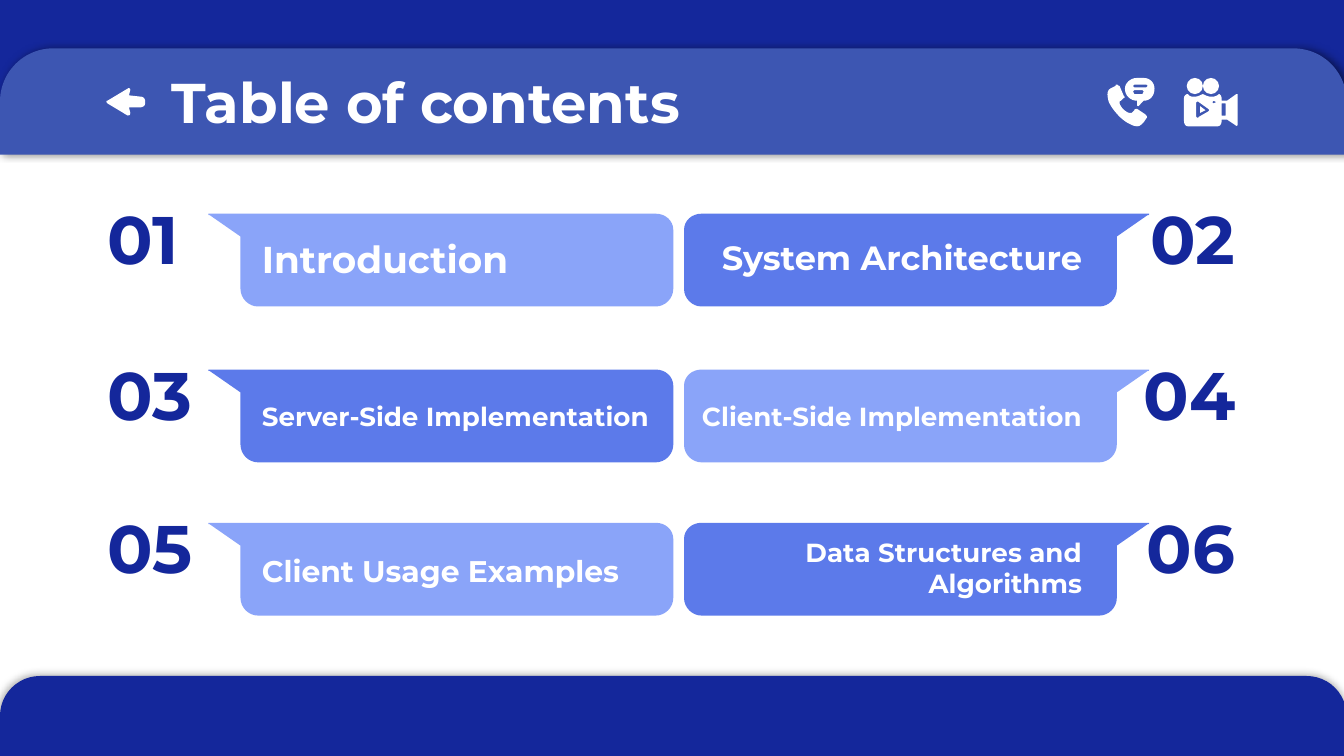
from lxml import etree
from pptx import Presentation
from pptx.dml.color import RGBColor
from pptx.enum.shapes import MSO_SHAPE
from pptx.enum.text import MSO_ANCHOR, PP_ALIGN
from pptx.oxml.ns import qn
from pptx.util import Emu, Pt

PX = 9144
SLIDE_W = 1000
SLIDE_H = SLIDE_W * 9 / 16
RECT, OVAL, ROUND_TOP = MSO_SHAPE.RECTANGLE, MSO_SHAPE.OVAL, MSO_SHAPE.ROUND_2_SAME_RECTANGLE
LEFT, RIGHT = PP_ALIGN.LEFT, PP_ALIGN.RIGHT
TOP, BOTTOM = MSO_ANCHOR.TOP, MSO_ANCHOR.BOTTOM
FONT = "Montserrat"
NAVY, BLUE, MID, LIGHT, WHITE = "14279B", "3D56B2", "5C7AEA", "8AA4F9", "FFFFFF"
CARD_W = 346

BUBBLE = [(345, 0), (345, 0, 346, 0, 346, 0), (346, 1, 346, 1, 345, 1), (322, 17), (322, 56),
          (322, 63, 316, 69, 309, 69), (13, 69), (6, 69, 0, 63, 0, 56), (0, 12),
          (0, 5, 6, 0, 13, 0)]
ARROW = [(0, 9), (-1, 9, -1, 10, 0, 11), (15, 20), (16, 20, 17, 20, 17, 18), (16, 14), (24, 14),
         (26, 14, 28, 13, 28, 11), (28, 9), (28, 7, 26, 6, 25, 6), (16, 5), (17, 1),
         (17, 0, 16, -1, 15, 0)]
HANDSET = [(8, 0), (7, 0, 7, 0, 7, 1), (3, 3), (0, 5, 1, 9, 2, 13), (5, 19, 11, 26, 17, 29),
           (19, 30, 21, 31, 23, 31), (25, 31, 26, 30, 28, 28), (30, 25), (31, 24, 30, 23, 29, 22),
           (23, 18), (23, 18, 21, 18, 21, 19), (19, 21), (18, 21, 17, 21, 17, 21),
           (14, 20, 11, 17, 10, 14), (10, 13, 10, 12, 11, 12), (13, 10), (14, 10, 14, 9, 13, 8),
           (10, 1), (9, 1, 9, 0, 8, 0)]
SPEECH = [(9, 0), (4, 0, 0, 4, 0, 8), (0, 13, 4, 17, 9, 17), (9, 20), (9, 20, 9, 21, 10, 21),
          (14, 17), (19, 17, 22, 13, 22, 8), (22, 4, 19, 0, 14, 0)]
SPEECH_LINES = [[(7, 5), (16, 5), (17, 6), (16, 7), (7, 7), (6, 6)],
                [(7, 9), (13, 9), (14, 10), (13, 12), (7, 12), (6, 10)]]
CAMERA = [(39, 0), (32, 5), (28, 5), (28, 3), (28, 2, 27, 0, 26, 0), (24, 2, 22, 2, 20, 2),
          (18, 2, 16, 1, 14, 0), (12, 1, 10, 2, 8, 2), (6, 2, 4, 2, 3, 0), (1, 0, 0, 2, 0, 3),
          (0, 20), (0, 22, 1, 24, 3, 24), (25, 24), (27, 24, 28, 22, 28, 20), (28, 19), (32, 19),
          (38, 23), (39, 24, 40, 24, 40, 22), (40, 1), (40, 0, 40, 0, 39, 0)]
CAMERA_HOLES = [[(22, 5), (24, 6), (22, 7), (21, 6)],
                [(28, 7), (31, 7), (31, 16), (28, 16)],
                [(11, 6), (18, 11), (19, 12, 19, 12, 18, 13), (11, 17), (11, 18, 9, 18, 9, 16),
                 (9, 7), (9, 6, 10, 5, 11, 6)]]
PLAY = [(12, 9), (12, 14), (16, 12)]

ROWS = [
    (159, (("01", "Introduction", 20, 7, LIGHT), ("02", "System Architecture", 18, 7, MID))),
    (275, (("03", "Server-Side Implementation", 14, 13, MID),
           ("04", "Client-Side Implementation", 14, 13, LIGHT))),
    (389, (("05", "Client Usage Examples", 16, 12, LIGHT),
           ("06", "Data Structures and Algorithms", 14, 0, MID))),
]


def px(n):
    """Convert px to EMU."""
    return Emu(round(n * PX))


def rgb(color):
    """Turn a hex string into a colour."""
    return RGBColor.from_string(color)


def paint(sp, color):
    """Give a shape a plain fill with no line or shadow."""
    sp.fill.solid()
    sp.fill.fore_color.rgb = rgb(color)
    sp.line.fill.background()
    sp.shadow.inherit = False
    return sp


def shape(s, kind, x, y, w, h, color):
    """Add a plain preset shape."""
    return paint(s.shapes.add_shape(kind, px(x), px(y), px(w), px(h)), color)


def trace(segments, steps=8):
    """Turn line ends and cubic curves into outline points."""
    pts = []
    for seg in segments:
        if len(seg) == 2:
            pts.append(seg)
            continue
        ctrl = [pts[-1], seg[:2], seg[2:4], seg[4:]]
        for i in range(1, steps + 1):
            t = i / steps
            weights = ((1 - t) ** 3, 3 * t * (1 - t) ** 2, 3 * t * t * (1 - t), t ** 3)
            pts.append(tuple(sum(k * c[axis] for k, c in zip(weights, ctrl)) for axis in (0, 1)))
    return pts


def outline(s, x, y, contours, color, flip_w=None):
    """Draw closed contours at x, y, mirrored inside flip_w when given."""
    fb = None
    for contour in contours:
        pts = [(px(x + (a if flip_w is None else flip_w - a)), px(y + b))
               for a, b in trace(contour)]
        if fb is None:
            fb = s.shapes.build_freeform(*pts[0])
        else:
            fb.move_to(*pts[0])
        fb.add_line_segments(pts[1:], close=True)
    return paint(fb.convert_to_shape(), color)


def text(s, x, y, w, h, content, size, color, align=LEFT, anchor=TOP):
    """Add a one-run bold text box."""
    tf = s.shapes.add_textbox(px(x), px(y), px(w), px(h)).text_frame
    tf.word_wrap = True
    tf.vertical_anchor = anchor
    tf.margin_left = tf.margin_right = tf.margin_top = tf.margin_bottom = px(10)
    p = tf.paragraphs[0]
    p.alignment = align
    r = p.add_run()
    r.text = content
    r.font.name, r.font.size, r.font.bold = FONT, Pt(size), True
    r.font.color.rgb = rgb(color)


def band(s, x, y, w, h, color, alpha, angle):
    """Add a band with round top corners and a soft shadow."""
    sp = shape(s, ROUND_TOP, x, y, w, h, color)
    sp.adjustments[0], sp.adjustments[1] = 0.5, 0
    effects = sp._element.spPr.find(qn("a:effectLst"))
    shadow = etree.SubElement(effects, qn("a:outerShdw"), blurRad=str(Pt(4.5)),
                              dist=str(Pt(1.5)), dir=str(angle * 60000),
                              algn="bl", rotWithShape="0")
    clr = etree.SubElement(shadow, qn("a:srgbClr"), val="000000")
    etree.SubElement(clr, qn("a:alpha"), val=str(alpha * 1000))


def phone_icon(s, x, y):
    """Draw a handset with a speech bubble."""
    outline(s, x, y + 5, [HANDSET], WHITE)
    outline(s, x + 14, y, [SPEECH, *SPEECH_LINES], WHITE)


def camera_icon(s, x, y):
    """Draw a film camera with two reels."""
    outline(s, x, y + 12, [CAMERA, *CAMERA_HOLES], WHITE)
    outline(s, x, y + 12, [PLAY], WHITE)
    for dx in (2, 14):
        shape(s, OVAL, x + dx, y, 12, 12, WHITE)


def header(s, x, y, w, h):
    """Build the title band with its arrow and icons."""
    shape(s, RECT, x, 0, w, 101, NAVY)
    band(s, x, y, w, h, BLUE, 50, 0)
    outline(s, x + 80, y + 30, [ARROW], WHITE)
    text(s, x + 118, y + 4, 803, 63, "Table of contents", 30, WHITE)
    phone_icon(s, x + 823, y + 22)
    camera_icon(s, x + 881, y + 22)


def card(s, x, y, entry, on_right):
    """Build one numbered entry around its bubble box."""
    number, label, size, label_dy, color = entry
    label_dx, number_dx, align = (-14, 286, RIGHT) if on_right else (30, -85, LEFT)
    outline(s, x, y, [BUBBLE], color, None if on_right else CARD_W)
    text(s, x + label_dx, y + label_dy, 320, 47, label, size, WHITE, align)
    text(s, x + number_dx, y - 18, 134, 76, number, 36, NAVY, align, BOTTOM)


def main():
    """Build and save the slide."""
    prs = Presentation()
    prs.slide_width, prs.slide_height = px(SLIDE_W), px(SLIDE_H)
    s = prs.slides.add_slide(prs.slide_layouts[6])
    band(s, 0, 503, 1002, SLIDE_H - 503, NAVY, 32, 237)
    header(s, 0, 36, 1002, 79)
    for y, (left, right) in ROWS:
        card(s, 155, y, left, False)
        card(s, 509, y, right, True)
    prs.save("out.pptx")


if __name__ == "__main__":
    main()
